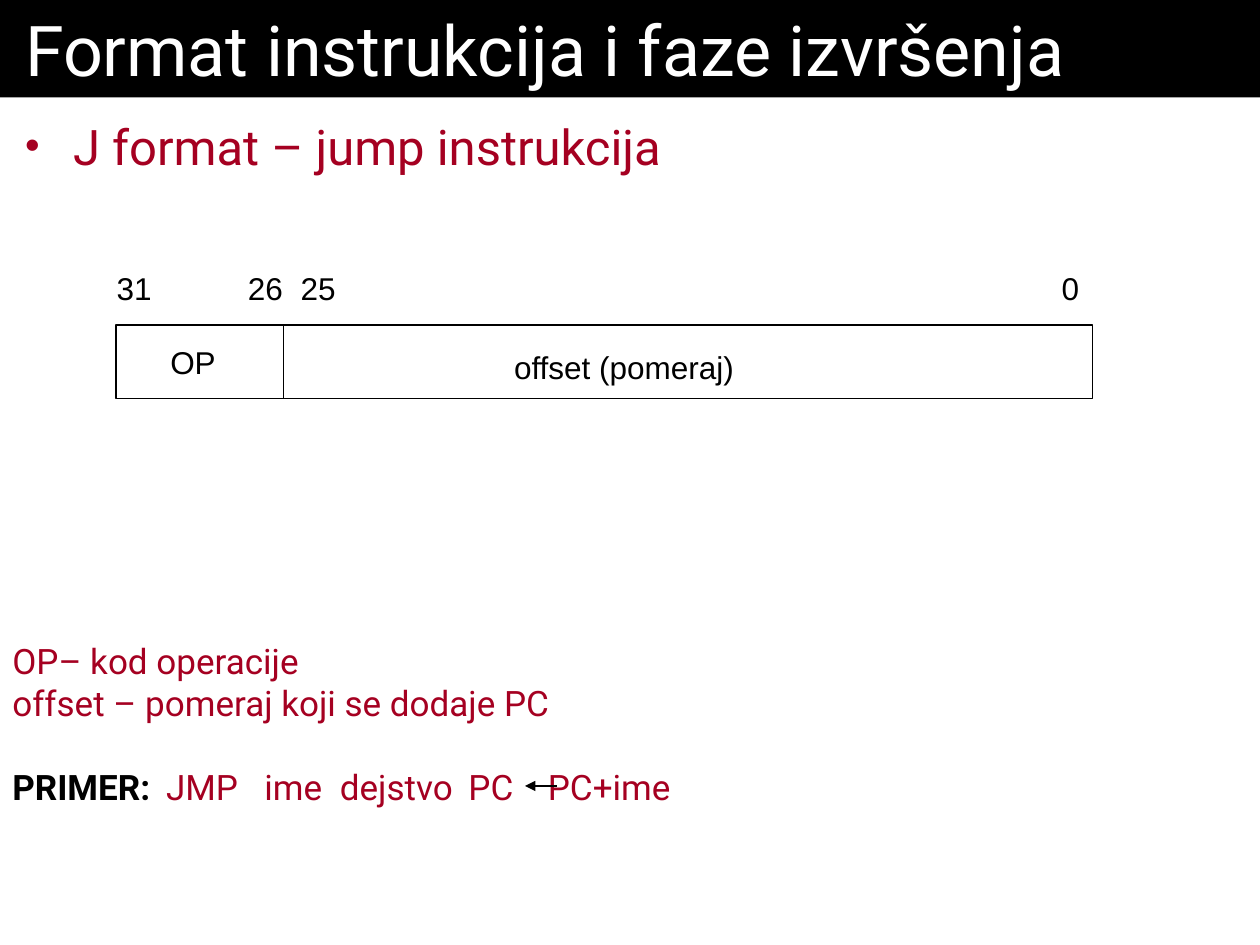
import pptx
import pptx.dml.color
import pptx.enum.shapes
import pptx.enum.text
import pptx.oxml
import pptx.oxml.ns
import pptx.util

BLACK = pptx.dml.color.RGBColor(0x00, 0x00, 0x00)
WHITE = pptx.dml.color.RGBColor(0xFF, 0xFF, 0xFF)
CRIMSON = pptx.dml.color.RGBColor(0xA5, 0x00, 0x21)

SLIDE_WIDTH, SLIDE_HEIGHT = 10, 7.5
NAMESPACE = pptx.oxml.ns.nsdecls("a")
ANCHOR = pptx.enum.text.MSO_ANCHOR

TITLE = {"name": "Roboto", "size": pptx.util.Pt(40), "color": WHITE}
TOPIC = {"name": "Roboto", "size": pptx.util.Pt(28), "color": CRIMSON}
NOTE = {"name": "Roboto", "size": pptx.util.Pt(20), "color": CRIMSON}
KEYWORD = {**NOTE, "color": BLACK, "bold": True}
FIELD = {"name": "Arial", "size": pptx.util.Pt(18), "color": BLACK}


def part(box, left, top, width=0, height=0):
    """Turn shares of a region into a box in inches."""
    x, y, w, h = box
    return x + left * w, y + top * h, width * w, height * h


def inches(box):
    """Convert a box in inches to lengths."""
    return [pptx.util.Inches(value) for value in box]


def add_span(para, text, style):
    """Append a run of text in the given style."""
    span = para.add_run()
    span.text = text
    for name, value in style.items():
        if name == "color":
            span.font.color.rgb = value
        else:
            setattr(span.font, name, value)


def format_frame(frame, **values):
    """Set the text frame attributes, with defaults for this slide."""
    defaults = {
        "word_wrap": True,
        "auto_size": pptx.enum.text.MSO_AUTO_SIZE.NONE,
        "vertical_anchor": ANCHOR.TOP,
    }
    for name, value in {**defaults, **values}.items():
        setattr(frame, name, value)


def add_text(page, box, text, style, **values):
    """Add a text box and return its first paragraph."""
    frame = page.shapes.add_textbox(*inches(box)).text_frame
    format_frame(frame, **values)
    para = frame.paragraphs[0]
    add_span(para, text, style)
    return para


def set_tabs(para, stops):
    """Give a paragraph tab stops as pairs of inches and alignment."""
    tabs = "".join(
        f'<a:tab pos="{pptx.util.Inches(position)}" algn="{side}"/>'
        for position, side in stops
    )
    properties = para._p.get_or_add_pPr()
    properties.append(pptx.oxml.parse_xml(f"<a:tabLst {NAMESPACE}>{tabs}</a:tabLst>"))


def add_line(page, start, end, arrow=False):
    """Draw a thin black line, with an optional arrowhead at its end."""
    line = page.shapes.add_connector(
        pptx.enum.shapes.MSO_CONNECTOR.STRAIGHT, *inches(start[:2] + end[:2])
    )
    line.line.color.rgb = BLACK
    line.line.width = pptx.util.Pt(0.75)
    if arrow:
        line.line._get_or_add_ln().append(
            pptx.oxml.parse_xml(f'<a:tailEnd {NAMESPACE} type="triangle"/>')
        )
    line._element.spPr.append(pptx.oxml.parse_xml(f"<a:effectLst {NAMESPACE}/>"))


def place_title(page, box):
    """Put the title in a black band."""
    title = page.shapes.title
    title.left, title.top, title.width, title.height = inches(box)
    title.fill.solid()
    title.fill.fore_color.rgb = BLACK
    margin = pptx.util.Inches(0.2)
    format_frame(title.text_frame, margin_left=margin, margin_right=margin)
    para = title.text_frame.paragraphs[0]
    para.alignment = pptx.enum.text.PP_ALIGN.LEFT
    add_span(para, "Format instrukcija i faze izvršenja", TITLE)


def place_topic(page, box):
    """Add the bulleted topic below the title."""
    side, end = inches((0.2, 0.15))
    margins = {"margin_left": side, "margin_right": side,
               "margin_top": end, "margin_bottom": end}
    para = add_text(page, box, "J format – jump instrukcija", TOPIC, **margins)
    properties = para._p.get_or_add_pPr()
    indent = pptx.util.Inches(0.38)
    properties.set("marL", str(indent))
    properties.set("indent", str(-indent))
    for bullet in (
        f'<a:buClr {NAMESPACE}><a:srgbClr val="{CRIMSON}"/></a:buClr>',
        f'<a:buSzPct {NAMESPACE} val="85000"/>',
        f'<a:buFont {NAMESPACE} typeface="Arial"/>',
        f'<a:buChar {NAMESPACE} char="•"/>',
    ):
        properties.append(pptx.oxml.parse_xml(bullet))


def place_format(page, box):
    """Draw the instruction word with its fields and bit numbers."""
    word = page.shapes.add_shape(
        pptx.enum.shapes.MSO_SHAPE.RECTANGLE, *inches(box)
    )
    word.shadow.inherit = False
    word.fill.solid()
    word.fill.fore_color.rgb = WHITE
    word.line.color.rgb = BLACK
    word.line.width = pptx.util.Pt(0.75)
    split = 0.172
    add_line(page, part(box, split, 0), part(box, split, 1))
    for text, left, top, width in (
        ("OP", 0.043, 0.15, 0.072),
        ("offset (pomeraj)", 0.395, 0.22, 0.252),
    ):
        add_text(page, part(box, left, top, width, 0.69), text, FIELD,
                 word_wrap=False, vertical_anchor=ANCHOR.BOTTOM)
    bits = add_text(page, part(box, -0.012, -0.86, 1.04, 0.69),
                    "31\t26\t25\t0", FIELD, vertical_anchor=ANCHOR.BOTTOM)
    set_tabs(bits, ((1.32, "r"), (1.46, "l"), (7.64, "r")))


def place_notes(page, box):
    """Explain the fields and give an example with an assignment arrow."""
    first = add_text(page, box, "OP– kod operacije", NOTE)
    frame = first._parent
    add_span(frame.add_paragraph(), "offset – pomeraj koji se dodaje PC", NOTE)
    example = frame.add_paragraph()
    example.space_before = pptx.util.Pt(24)
    set_tabs(example, [(stop, "l") for stop in (1.22, 2, 2.6, 3.62, 4.25)])
    add_span(example, "PRIMER:", KEYWORD)
    add_span(example, "\tJMP\time\tdejstvo\tPC\tPC+ime", {**NOTE, "bold": False})
    add_line(page, part(box, 0.491, 0.647), part(box, 0.463, 0.647), arrow=True)


def main():
    """Build and save the slide."""
    deck = pptx.Presentation()
    deck.slide_width, deck.slide_height = inches((SLIDE_WIDTH, SLIDE_HEIGHT))
    page = deck.slides.add_slide(deck.slide_layouts[5])
    slide = (0, 0, SLIDE_WIDTH, SLIDE_HEIGHT)
    band = 0.103
    place_title(page, part(slide, 0, 0, 1, band))
    place_topic(page, part(slide, 0, band, 1, 1 - band))
    place_format(page, part(slide, 0.092, 0.344, 0.775, 0.078))
    place_notes(page, part(slide, 0, 0.67, 0.9, 0.25))
    deck.save("out.pptx")


if __name__ == "__main__":
    main()
